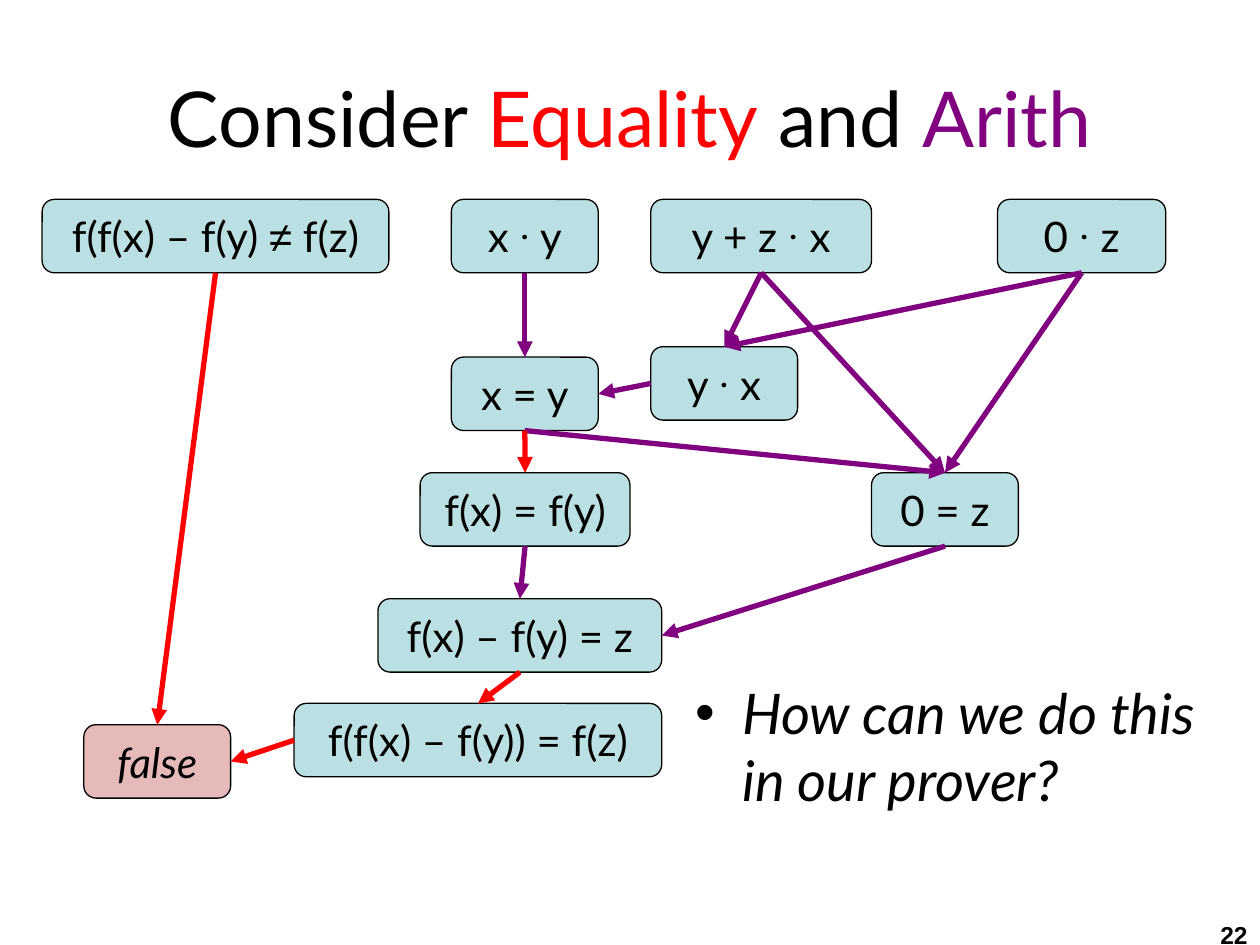
import itertools

import pptx
import pptx.dml.color
import pptx.enum.shapes
import pptx.enum.text
import pptx.oxml
import pptx.oxml.ns
import pptx.util
from lxml import etree

Cm = pptx.util.Cm
Pt = pptx.util.Pt
ALIGN = pptx.enum.text.PP_ALIGN
ANCHOR = pptx.enum.text.MSO_ANCHOR

BLACK, RED, PURPLE = "000000", "FF0000", "800080"
FACT_FILL, FALSE_FILL = "BBE0E3", "E5BAB9"
SYMBOL_FONTS = {"≠": "Arial", "·": "Roboto"}
BOX_HEIGHT = 1.48
TOP, LEFT, BOTTOM, RIGHT = range(4)  # connection sites of a rounded box

# name: text, left, top, width in cm
FACTS = {
    "disequality": ("f(f(x) – f(y) ≠ f(z)", 0.85, 4.02, 6.99),
    "x_y": ("x · y", 9.10, 4.02, 2.96),
    "yz_x": ("y + z · x", 13.12, 4.02, 4.45),
    "0_z": ("0 · z", 20.11, 4.02, 3.39),
    "x=y": ("x = y", 9.10, 7.20, 2.96),
    "y_x": ("y · x", 13.12, 6.99, 2.96),
    "0=z": ("0 = z", 17.57, 9.53, 2.96),
    "fx=fy": ("f(x) = f(y)", 8.47, 9.53, 4.23),
    "difference": ("f(x) – f(y) = z", 7.62, 12.07, 5.72),
    "f_difference": ("f(f(x) – f(y)) = f(z)", 5.93, 14.18, 7.41),
    "false": ("false", 1.69, 14.61, 2.96),
}

# from, site, to, site, colour of the theory that makes the step
STEPS = [
    ("x_y", BOTTOM, "x=y", TOP, PURPLE),
    ("yz_x", BOTTOM, "y_x", TOP, PURPLE),
    ("0_z", BOTTOM, "y_x", TOP, PURPLE),
    ("yz_x", BOTTOM, "0=z", TOP, PURPLE),
    ("0_z", BOTTOM, "0=z", TOP, PURPLE),
    ("y_x", LEFT, "x=y", RIGHT, PURPLE),
    ("x=y", BOTTOM, "0=z", TOP, PURPLE),
    ("x=y", BOTTOM, "fx=fy", TOP, RED),
    ("fx=fy", BOTTOM, "difference", TOP, PURPLE),
    ("difference", BOTTOM, "f_difference", TOP, RED),
    ("0=z", BOTTOM, "difference", RIGHT, PURPLE),
    ("f_difference", LEFT, "false", RIGHT, RED),
    ("disequality", BOTTOM, "false", TOP, RED),
]


def rgb(colour):
    return pptx.dml.color.RGBColor.from_string(colour)


def set_font(font, size, name="Lato", colour=BLACK, bold=False, italic=False):
    font.size = Pt(size)
    font.name = name
    font.color.rgb = rgb(colour)
    font.bold = bold
    font.italic = italic


def place(shape, left, top, width, height):
    shape.left, shape.top = Cm(left), Cm(top)
    shape.width, shape.height = Cm(width), Cm(height)


def fill_title(title):
    place(title, 0.42, 0.76, 24.55, 3.18)
    title.text_frame.vertical_anchor = ANCHOR.MIDDLE
    para = title.text_frame.paragraphs[0]
    para.alignment = ALIGN.CENTER
    set_font(para.font, 44)
    for text, colour in [("Consider ", BLACK), ("Equality", RED),
                         (" and ", BLACK), ("Arith", PURPLE)]:
        span = para.add_run()
        span.text = text
        span.font.color.rgb = rgb(colour)


def fill_question(body):
    place(body, 13.76, 13.55, 11.22, 5.08)
    para = body.text_frame.paragraphs[0]
    para.text = "How can we do this in our prover?"
    para.space_before = Pt(0)
    properties = para._p.get_or_add_pPr()
    properties.set("marL", str(Cm(0.95)))
    properties.set("indent", str(-Cm(0.95)))
    bullet = etree.SubElement(properties, pptx.oxml.ns.qn("a:buChar"))
    bullet.set("char", "•")
    set_font(para.font, 32, italic=True)


def add_fact(slide, text, left, top, width):
    box = slide.shapes.add_shape(
        pptx.enum.shapes.MSO_SHAPE.ROUNDED_RECTANGLE,
        Cm(left), Cm(top), Cm(width), Cm(BOX_HEIGHT))
    is_false = text == "false"
    box.shadow.inherit = False
    box.fill.solid()
    box.fill.fore_color.rgb = rgb(FALSE_FILL if is_false else FACT_FILL)
    box.line.color.rgb = rgb(BLACK)
    box.line.width = Pt(0.75)
    box.text_frame.word_wrap = False
    box.text_frame.vertical_anchor = ANCHOR.MIDDLE
    para = box.text_frame.paragraphs[0]
    para.alignment = ALIGN.CENTER
    set_font(para.font, 24, italic=is_false)
    # Math symbols get a run with a font of their own
    for font_name, letters in itertools.groupby(text, SYMBOL_FONTS.get):
        span = para.add_run()
        span.text = "".join(letters)
        if font_name:
            span.font.name = font_name
    return box


def add_arrow(slide, start, start_site, end, end_site, colour):
    arrow = slide.shapes.add_connector(
        pptx.enum.shapes.MSO_CONNECTOR.STRAIGHT, 0, 0, 0, 0)
    arrow.begin_connect(start, start_site)
    arrow.end_connect(end, end_site)
    arrow.line.color.rgb = rgb(colour)
    arrow.line.width = Pt(3)
    head = etree.SubElement(arrow.line._get_or_add_ln(), pptx.oxml.ns.qn("a:tailEnd"))
    head.set("type", "triangle")
    etree.SubElement(arrow._element.spPr, pptx.oxml.ns.qn("a:effectLst"))


def add_page_number(slide, number):
    box = slide.shapes.add_textbox(Cm(19.89), Cm(18.42), Cm(5.51), Cm(0.86))
    box.text_frame.word_wrap = True
    para = box.text_frame.paragraphs[0]
    para.text = number
    para.alignment = ALIGN.RIGHT
    set_font(para.font, 14, name="Arial", bold=True)


def main():
    deck = pptx.Presentation()
    deck.slide_width, deck.slide_height = Cm(25.4), Cm(19.05)
    slide = deck.slides.add_slide(deck.slide_layouts[1])

    # Heading and question
    fill_title(slide.shapes.title)
    fill_question(slide.placeholders[1])

    # Derivation graph
    boxes = {name: add_fact(slide, *fact) for name, fact in FACTS.items()}
    for start, start_site, end, end_site, colour in STEPS:
        add_arrow(slide, boxes[start], start_site, boxes[end], end_site, colour)

    add_page_number(slide, "22")
    deck.save("out.pptx")


if __name__ == "__main__":
    main()
